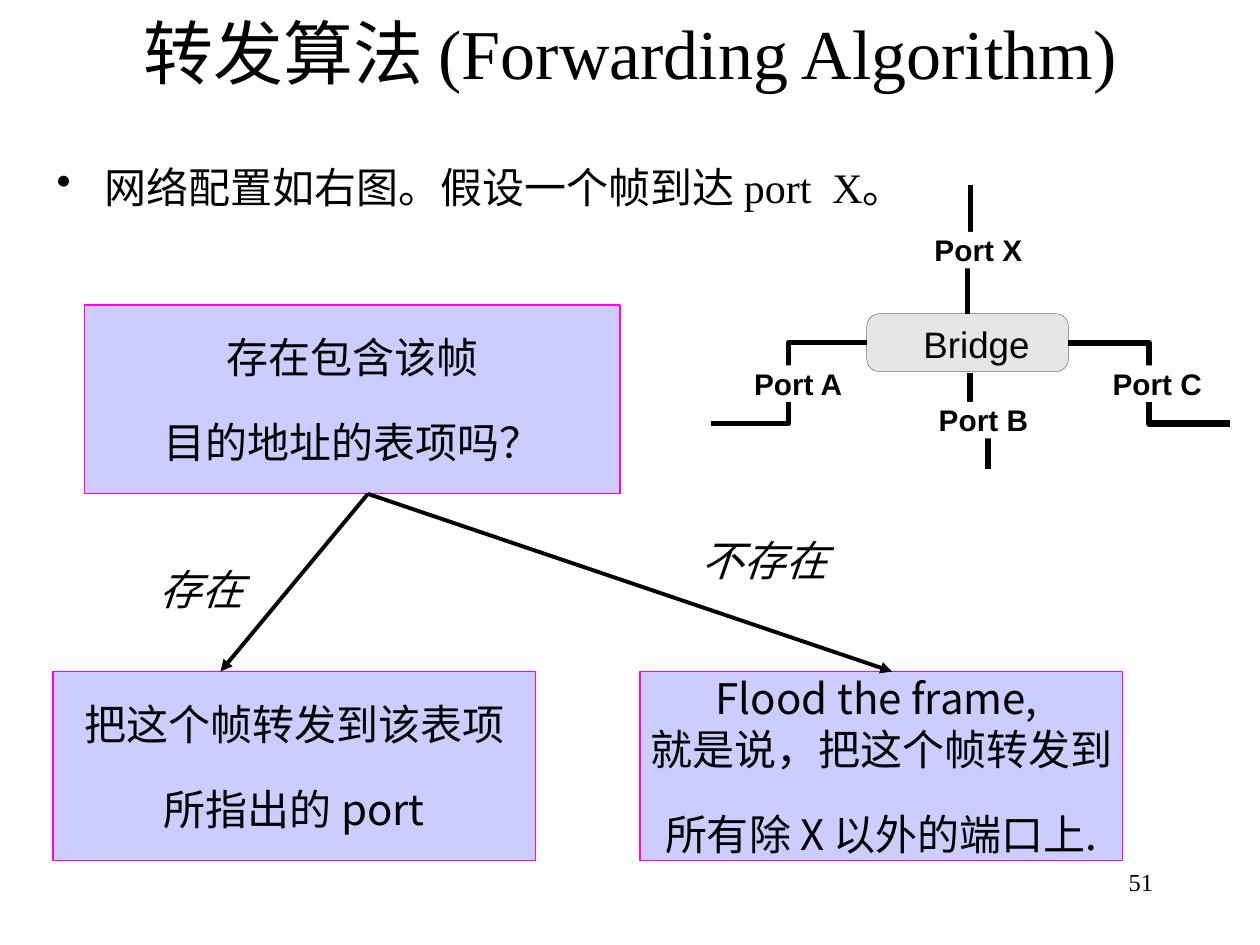
from pptx import Presentation
from pptx.dml.color import RGBColor
from pptx.enum.shapes import MSO_CONNECTOR, MSO_SHAPE
from pptx.enum.text import MSO_ANCHOR, PP_ALIGN
from pptx.oxml import parse_xml
from pptx.oxml.ns import nsdecls, qn
from pptx.util import Inches, Pt
from lxml import etree

COLORS = {"text": "000000", "box": "CCCCFF", "border": "FF00FF",
          "bridge": "E6E6E6", "background": "FFFFFF"}
CJK_FONT = "Noto Sans CJK SC"

# text lines, left, top, width, font
BOX_HEIGHT = 1.5
BOXES = [
    (["存在包含该帧", "目的地址的表项吗？"], 0.67, 2.42, 4.25, "Arial"),
    (["把这个帧转发到该表项", "所指出的 port"], 0.42, 5.33, 3.83, CJK_FONT),
    (["Flood the frame, \v就是说，把这个帧转发到", "所有除 X 以外的端口上."],
     5.08, 5.33, 3.83, CJK_FONT),
]
ARROW_START = (2.92, 3.92)
ARROW_ENDS = [(1.75, 5.33), (7.08, 5.33)]
ANSWERS = [("存在", 1.17, 4.42), ("不存在", 5.47, 4.19)]

# label, wire points, wire width, label background, label left
PORTS = [
    ("Port A", [(5.64, 3.36), (6.26, 3.36), (6.26, 2.72), (6.88, 2.72)], 3,
     (5.82, 2.9, 0.87), 5.98),
    ("Port C", [(8.48, 2.72), (9.12, 2.72), (9.12, 3.36), (9.76, 3.36)], 3.63,
     (8.68, 2.9, 0.89), 8.83),
    ("Port X", [(7.68, 2.49), (7.68, 1.98), (7.7, 1.98), (7.7, 1.47)], 3,
     (7.27, 1.84, 0.84), 7.41),
    ("Port B", [(7.7, 2.96), (7.7, 3.34), (7.84, 3.34), (7.84, 3.72)], 3.63,
     (7.3, 3.19, 0.88), 7.45),
]


def rgb(name):
    return RGBColor.from_string(COLORS[name])


def write_text(shape, lines, size=24, font="Arial", bold=False, italic=False,
               align=PP_ALIGN.LEFT, anchor=MSO_ANCHOR.TOP, wrap=True,
               margins=(0.1, 0.05), before=0, after=0, bullet_indent=None):
    frame = shape.text_frame
    frame.word_wrap = wrap
    frame.vertical_anchor = anchor
    frame.margin_left = frame.margin_right = Inches(margins[0])
    frame.margin_top = frame.margin_bottom = Inches(margins[1])
    for index, line in enumerate(lines):
        paragraph = frame.add_paragraph() if index else frame.paragraphs[0]
        paragraph.text = line
        paragraph.alignment = align
        if index and before:
            paragraph.space_before = Pt(before)
        if after:
            paragraph.space_after = Pt(after)
        if bullet_indent:
            properties = paragraph._p.get_or_add_pPr()
            properties.set("marL", str(Inches(bullet_indent)))
            properties.set("indent", str(-Inches(bullet_indent)))
            properties.append(parse_xml(f'<a:buChar {nsdecls("a")} char="•"/>'))
        for run in paragraph.runs:
            run.font.size = Pt(size)
            run.font.name = font
            run.font.bold = bold
            run.font.italic = italic
            run.font.color.rgb = rgb("text")
            east_asian = etree.SubElement(run._r.get_or_add_rPr(), qn("a:ea"))
            east_asian.set("typeface", CJK_FONT)


def add_text(slide, text, left, top, width, height, **style):
    text_box = slide.shapes.add_textbox(
        Inches(left), Inches(top), Inches(width), Inches(height))
    write_text(text_box, [text], **style)


def add_block(slide, preset, left, top, width, height, fill,
              line=None, line_width=0.75):
    block = slide.shapes.add_shape(
        preset, Inches(left), Inches(top), Inches(width), Inches(height))
    block.shadow.inherit = False
    block.fill.solid()
    block.fill.fore_color.rgb = rgb(fill)
    if line:
        block.line.color.rgb = rgb(line)
        block.line.width = Pt(line_width)
    else:
        block.line.fill.background()
    return block


def add_arrow(slide, start, end):
    arrow = slide.shapes.add_connector(
        MSO_CONNECTOR.STRAIGHT, *(Inches(value) for value in start + end))
    arrow.line.color.rgb = rgb("text")
    arrow.line.width = Pt(2.25)
    etree.SubElement(arrow.line._get_or_add_ln(), qn("a:tailEnd")).set("type", "triangle")
    etree.SubElement(arrow._element.spPr, qn("a:effectLst"))


def add_wire(slide, points, width):
    start, *rest = [(Inches(x), Inches(y)) for x, y in points]
    builder = slide.shapes.build_freeform(*start)
    builder.add_line_segments(rest, close=False)
    wire = builder.convert_to_shape()
    wire.shadow.inherit = False
    wire.fill.background()
    wire.line.color.rgb = rgb("text")
    wire.line.width = Pt(width)


def main():
    presentation = Presentation()
    presentation.slide_width = Inches(10)
    presentation.slide_height = Inches(7.5)
    slide = presentation.slides.add_slide(presentation.slide_layouts[6])

    add_text(slide, "转发算法 (Forwarding Algorithm)", 0.75, -0.03, 8.5, 0.88,
             size=40, font="Times New Roman", align=PP_ALIGN.CENTER,
             anchor=MSO_ANCHOR.MIDDLE)
    add_text(slide, "网络配置如右图。假设一个帧到达 port  X。", 0.35, 1.23, 9.21, 0.55,
             font="Times New Roman", bullet_indent=0.38)

    for lines, left, top, width, font in BOXES:
        box = add_block(slide, MSO_SHAPE.RECTANGLE, left, top, width, BOX_HEIGHT,
                        "box", "border")
        write_text(box, lines, font=font, align=PP_ALIGN.CENTER,
                   anchor=MSO_ANCHOR.MIDDLE, wrap=False, before=10, after=10)
    for end in ARROW_ENDS:
        add_arrow(slide, ARROW_START, end)
    for answer, left, top in ANSWERS:
        add_text(slide, answer, left, top, 1.33, 0.5, font="Courier New", italic=True)

    bridge = add_block(slide, MSO_SHAPE.ROUNDED_RECTANGLE, 6.88, 2.49, 1.6, 0.46,
                       "bridge", "text", 0.11)
    bridge.adjustments[0] = 0.22
    diagram_style = {"align": PP_ALIGN.CENTER, "wrap": False, "margins": (0, 0)}
    add_text(slide, "Bridge ", 7.29, 2.55, 0.92, 0.35, size=21, **diagram_style)
    for label, points, wire_width, (left, top, width), label_left in PORTS:
        add_wire(slide, points, wire_width)
        add_block(slide, MSO_SHAPE.RECTANGLE, left, top, width, 0.29, "background")
        add_text(slide, label, label_left, top, 0.71, 0.28, size=17, bold=True,
                 **diagram_style)

    add_text(slide, "51", 7.17, 6.83, 2.08, 0.5, size=14, font="Times New Roman",
             align=PP_ALIGN.RIGHT)
    presentation.save("out.pptx")


if __name__ == "__main__":
    main()
